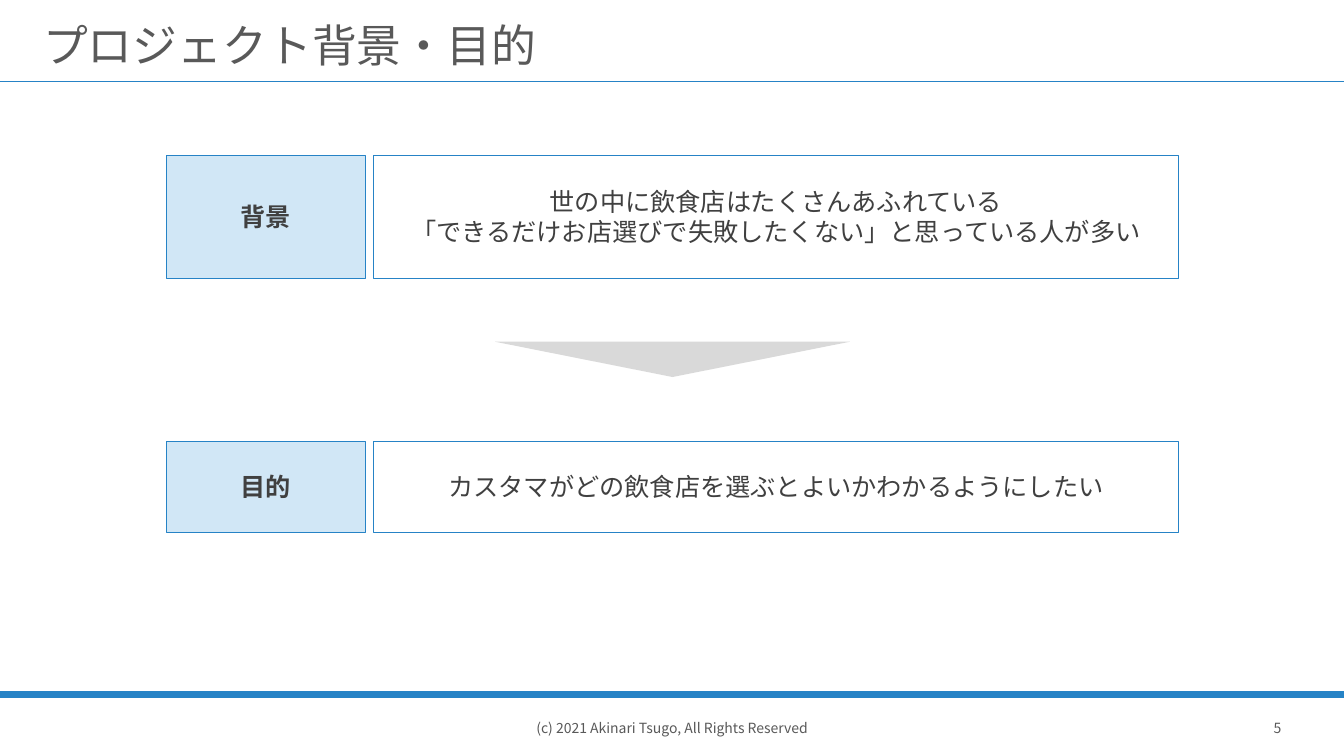
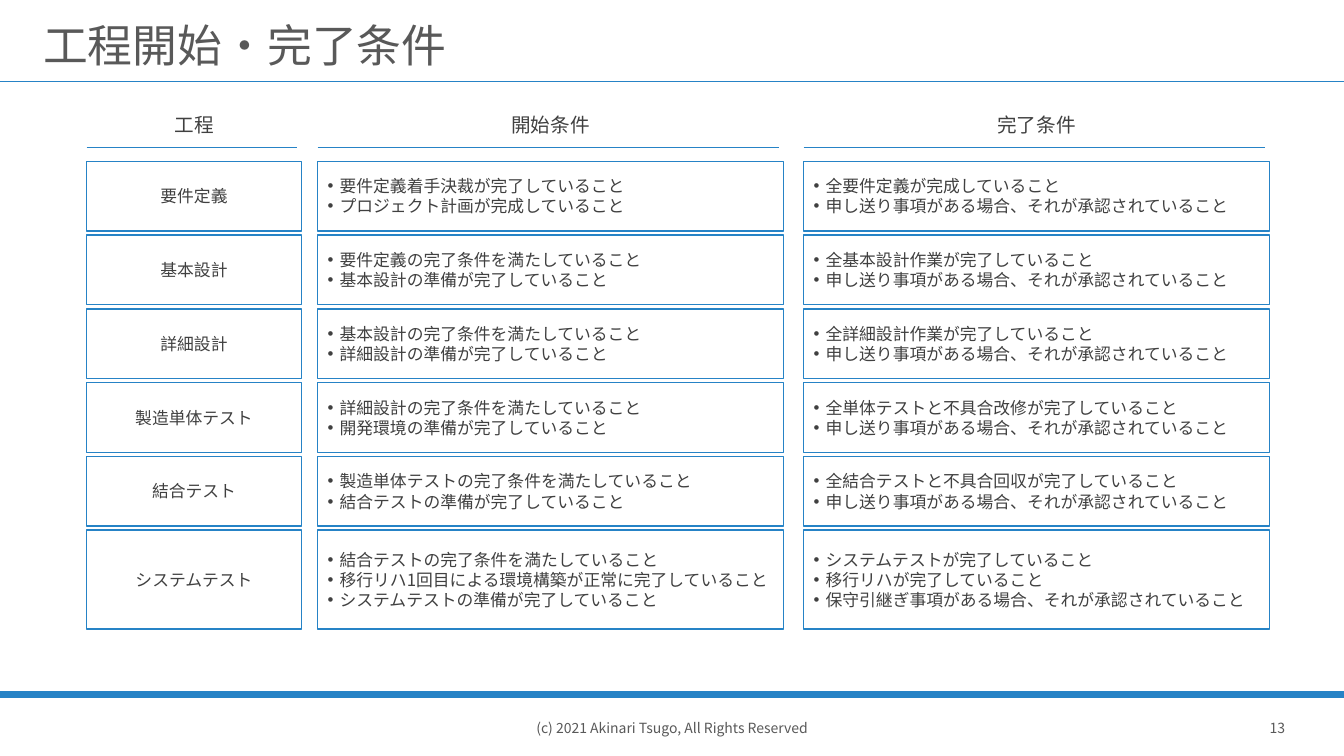
from dataclasses import dataclass

from lxml.etree import SubElement
from pptx import Presentation
from pptx.dml.color import RGBColor
from pptx.enum.shapes import MSO_CONNECTOR as CONN, MSO_SHAPE as SHAPE
from pptx.enum.text import MSO_ANCHOR as ANCHOR, PP_ALIGN as ALIGN
from pptx.oxml.ns import qn
from pptx.util import Inches, Pt


@dataclass(frozen=True)
class Theme:
    """Colours, type sizes and line widths shared by the slides."""
    font: str = "Noto Sans CJK JP"
    accent: str = "2683C6"
    tint: str = "D1E7F6"
    white: str = "FFFFFF"
    grey: str = "D9D9D9"
    text: str = "404040"
    muted: str = "595959"
    title: int = 32
    statement: int = 18
    header: int = 14
    cell: int = 12
    footer: int = 10
    hairline: float = 0.25
    thin: float = 0.5
    rule: float = 1
    band: float = 4.5


T = Theme()
WIDTH, HEIGHT = 13.33, 7.5
INSETS = (0.1, 0.05, 0.1, 0.05)
WIDE_INSETS = (0.24, 0.08, 0.24, 0.08)
HANDOVER = "申し送り事項がある場合、それが承認されていること"
COLUMNS = [("工程", 0.86, 2.13), ("開始条件", 3.15, 4.62), ("完了条件", 7.97, 4.62)]
PHASES = [
    (["要件定義"],
     ["要件定義着手決裁が完了していること", "プロジェクト計画が完成していること"],
     ["全要件定義が完成していること", HANDOVER]),
    (["基本設計"],
     ["要件定義の完了条件を満たしていること", "基本設計の準備が完了していること"],
     ["全基本設計作業が完了していること", HANDOVER]),
    (["詳細設計"],
     ["基本設計の完了条件を満たしていること", "詳細設計の準備が完了していること"],
     ["全詳細設計作業が完了していること", HANDOVER]),
    (["製造単体テスト"],
     ["詳細設計の完了条件を満たしていること", "開発環境の準備が完了していること"],
     ["全単体テストと不具合改修が完了していること", HANDOVER]),
    (["結合テスト"],
     ["製造単体テストの完了条件を満たしていること", "結合テストの準備が完了していること"],
     ["全結合テストと不具合回収が完了していること", HANDOVER]),
    (["システムテスト"],
     ["結合テストの完了条件を満たしていること",
      "移行リハ1回目による環境構築が正常に完了していること",
      "システムテストの準備が完了していること"],
     ["システムテストが完了していること", "移行リハが完了していること",
      "保守引継ぎ事項がある場合、それが承認されていること"]),
]


def rgb(color):
    """Turn a hex string into a colour."""
    return RGBColor.from_string(color)


def add_bullet(p):
    """Give a paragraph a round bullet with a hanging indent."""
    pPr = p._p.get_or_add_pPr()
    pPr.set("marL", str(Inches(0.12)))
    pPr.set("indent", str(-Inches(0.12)))
    SubElement(pPr, qn("a:buFont"), typeface="Arial")
    SubElement(pPr, qn("a:buChar"), char="•")


def write(sp, lines, size, color=T.text, bold=False, align=ALIGN.CENTER,
          anchor=ANCHOR.MIDDLE, insets=INSETS, bullets=False, spacing=None):
    """Write one paragraph per line into a shape."""
    tf = sp.text_frame
    left, top, right, bottom = map(Inches, insets)
    frame = {"word_wrap": True, "vertical_anchor": anchor, "margin_left": left,
             "margin_top": top, "margin_right": right, "margin_bottom": bottom}
    for name, value in frame.items():
        setattr(tf, name, value)
    for i, line in enumerate(lines):
        p = tf.paragraphs[0] if i == 0 else tf.add_paragraph()
        p.alignment = align
        if spacing:
            p.line_spacing = spacing
        if bullets:
            add_bullet(p)
        r = p.add_run()
        r.text = line
        for name, value in {"name": T.font, "size": Pt(size), "bold": bold}.items():
            setattr(r.font, name, value)
        r.font.color.rgb = rgb(color)
        SubElement(r._r.get_or_add_rPr(), qn("a:ea"), typeface=T.font)


def add_label(s, box, text, size, **style):
    """Add a text box holding one line."""
    write(s.shapes.add_textbox(*map(Inches, box)), [text], size, **style)


def add_block(s, box, fill, line=None, kind=SHAPE.RECTANGLE):
    """Add a filled shape, outlined when a line width is given."""
    sp = s.shapes.add_shape(kind, *map(Inches, box))
    sp.shadow.inherit = False
    sp.fill.solid()
    sp.fill.fore_color.rgb = rgb(fill)
    if line:
        sp.line.color.rgb = rgb(T.accent)
        sp.line.width = Pt(line)
    else:
        sp.line.fill.background()
    return sp


def add_rule(s, left, top, width, weight):
    """Add a horizontal accent line."""
    ends = map(Inches, (left, top, left + width, top))
    c = s.shapes.add_connector(CONN.STRAIGHT, *ends)
    c.line.color.rgb = rgb(T.accent)
    c.line.width = Pt(weight)
    SubElement(c._element.spPr, qn("a:effectLst"))


def add_frame(prs, title, number):
    """Add a slide with its title, bands and footer."""
    s = prs.slides.add_slide(prs.slide_layouts[6])
    add_rule(s, 0, 0.81, WIDTH, T.rule)
    add_rule(s, 0, 6.89, WIDTH, T.band)
    footers = [((12.34, 6.95, 0.66, 0.55), str(number)),
               ((4.62, 6.95, 4.09, 0.55), "(c) 2021 Akinari Tsugo, All Rights Reserved")]
    for box, text in footers:
        add_label(s, box, text, T.footer, color=T.muted)
    add_label(s, (0.33, 0.06, 12.67, 0.69), title, T.title, color=T.muted,
              align=ALIGN.LEFT, insets=(0.1, 0.2, 0.1, 0.05), spacing=0.9)
    return s


def add_statement(s, box, heading, lines):
    """Add a tinted heading beside its statement."""
    left, top, width, height = box
    head, gap = 1.97, 0.08
    body = left + head + gap
    parts = [(left, head, T.tint, [heading], True),
             (body, width - head - gap, T.white, lines, False)]
    for x, w, fill, text, bold in parts:
        sp = add_block(s, (x, top, w, height), fill, T.hairline)
        write(sp, text, T.statement, bold=bold, insets=WIDE_INSETS)


def add_column(s, box, header, cells, bullets):
    """Add a column header, its rule and one cell per phase."""
    left, top, width, height = box
    add_label(s, (left, top, width, 0.34), header, T.header, anchor=ANCHOR.TOP)
    add_rule(s, left, top + 0.39, width - 0.04, T.thin)
    first, pitch, gap = top + 0.53, 0.732, 0.04
    for i, lines in enumerate(cells):
        y = first + i * pitch
        last = i == len(cells) - 1
        h = top + height - y if last else pitch - gap
        sp = add_block(s, (left, y, width, h), T.white, T.rule)
        write(sp, lines, T.cell, bullets=bullets,
              align=ALIGN.LEFT if bullets else ALIGN.CENTER)


def build_background(prs):
    """Build the slide on project background and purpose."""
    s = add_frame(prs, "プロジェクト背景・目的", 5)
    arrow = add_block(s, (4.91, 3.39, 3.52, 0.35), T.grey, kind=SHAPE.ISOSCELES_TRIANGLE)
    arrow.rotation = 180
    add_statement(s, (1.65, 1.54, 10.04, 1.22), "背景",
                  ["世の中に飲食店はたくさんあふれている",
                   "「できるだけお店選びで失敗したくない」と思っている人が多い"])
    add_statement(s, (1.65, 4.38, 10.04, 0.9), "目的",
                  ["カスタマがどの飲食店を選ぶとよいかわかるようにしたい"])


def build_conditions(prs):
    """Build the slide on the entry and exit conditions of each phase."""
    s = add_frame(prs, "工程開始・完了条件", 13)
    for i, ((header, left, width), cells) in enumerate(zip(COLUMNS, zip(*PHASES))):
        add_column(s, (left, 1.07, width, 5.17), header, cells, bullets=i > 0)


def main():
    """Build and save the presentation."""
    prs = Presentation()
    prs.slide_width, prs.slide_height = Inches(WIDTH), Inches(HEIGHT)
    build_background(prs)
    build_conditions(prs)
    prs.save("out.pptx")


if __name__ == "__main__":
    main()
